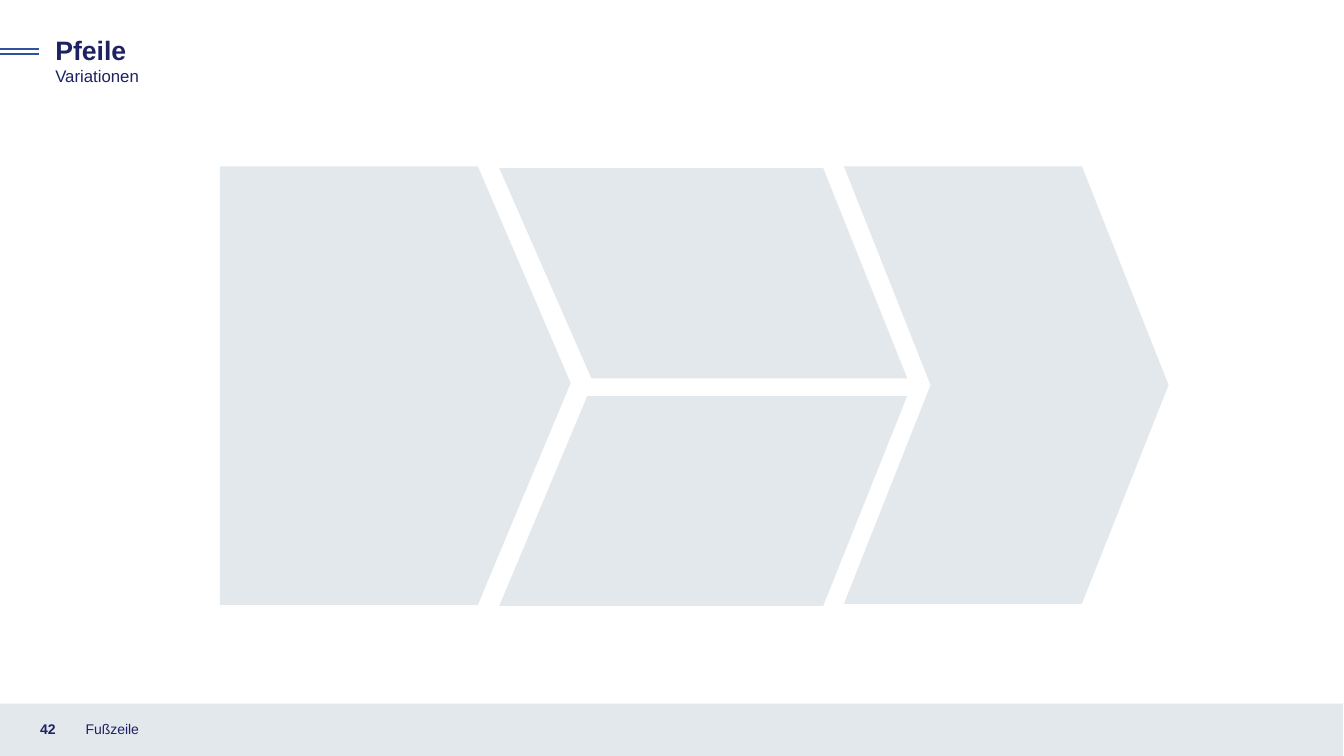
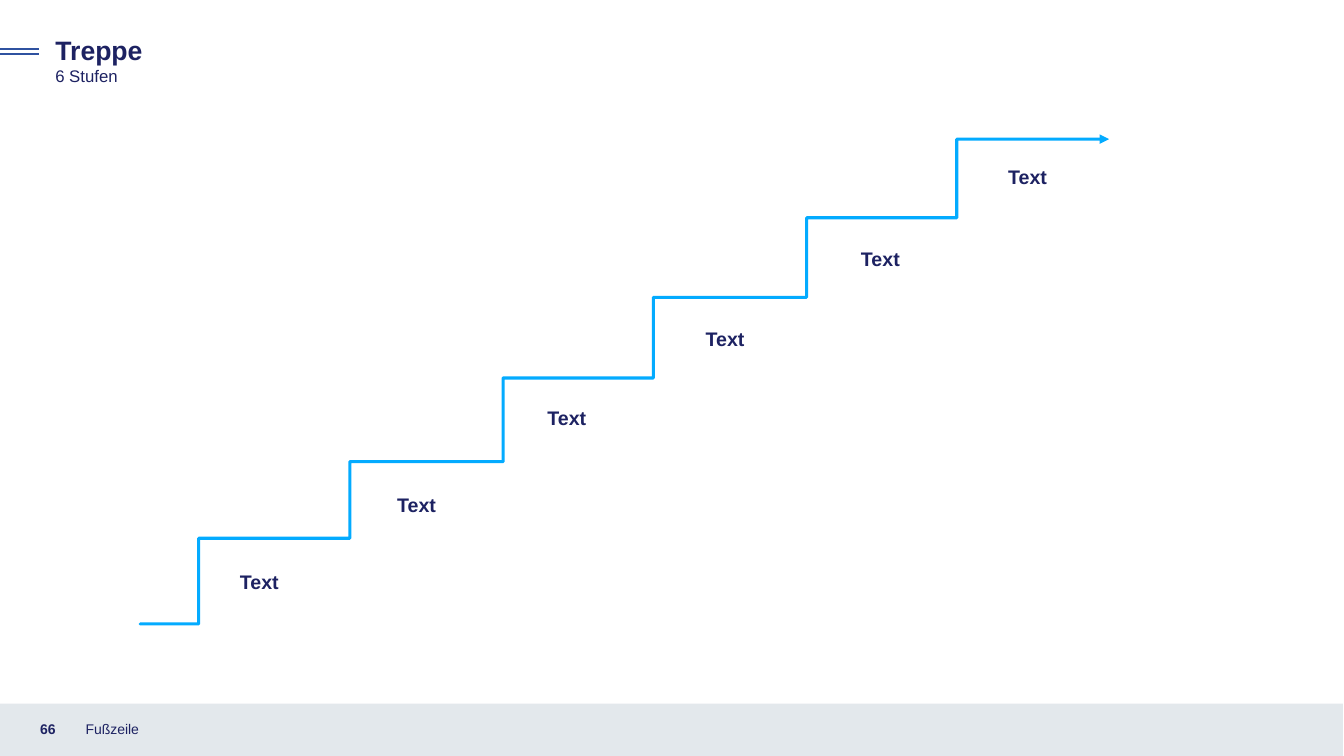
from dataclasses import dataclass

from lxml.etree import SubElement
from pptx import Presentation
from pptx.dml.color import RGBColor
from pptx.enum.shapes import MSO_CONNECTOR as Connector, MSO_SHAPE as Shape
from pptx.enum.text import MSO_ANCHOR as Anchor, MSO_AUTO_SIZE as AutoSize, PP_ALIGN as Align
from pptx.oxml.ns import qn
from pptx.util import Inches, Pt


@dataclass(frozen=True)
class Theme:
    font: str = "Arial"
    navy: str = "1D2262"
    blue: str = "2F52A0"
    sky: str = "00AAFF"
    pale: str = "E3E8EC"
    white: str = "FFFFFF"
    title_size: int = 19
    subtitle_size: int = 12
    label_size: int = 14
    footer_size: int = 10


class Deck:
    def __init__(self, theme):
        self.theme = theme
        self.presentation = Presentation()
        self.presentation.slide_width = Inches(13.33)
        self.presentation.slide_height = Inches(7.5)
        self.slide = None

    def add_slide(self, title, subtitle, number):
        theme = self.theme
        self.slide = self.presentation.slides.add_slide(self.presentation.slide_layouts[5])
        self.preset(Shape.RECTANGLE, -0.01, 6.98, 13.33, 0.55)
        self.text(number, 0.3, 7.03, 0.45, 0.4, theme.footer_size, bold=True, anchor=Anchor.MIDDLE)
        self.text("Fußzeile", 0.75, 7.03, 4.5, 0.4, theme.footer_size, anchor=Anchor.MIDDLE)
        heading = self.slide.shapes.title
        heading.left, heading.top = Inches(0.45), Inches(0.29)
        heading.width, heading.height = Inches(7.72), Inches(0.42)
        self.fill_text(heading.text_frame, title, theme.title_size, bold=True)
        self.text(subtitle, 0.45, 0.6, 3.46, 0.3, theme.subtitle_size)
        for y in (0.49, 0.54):
            self.rule(0, y, 0.39, y)

    def fill_text(self, frame, content, size, bold=False, anchor=Anchor.TOP, wrap=True):
        frame.word_wrap = wrap
        frame.auto_size = AutoSize.NONE
        frame.vertical_anchor = anchor
        paragraph = frame.paragraphs[0]
        paragraph.text = content
        paragraph.alignment = Align.LEFT
        paragraph.font.name = self.theme.font
        paragraph.font.size = Pt(size)
        paragraph.font.bold = bold
        paragraph.font.color.rgb = RGBColor.from_string(self.theme.navy)

    def text(self, content, left, top, width, height, size, **style):
        box = self.slide.shapes.add_textbox(*map(Inches, (left, top, width, height)))
        self.fill_text(box.text_frame, content, size, **style)

    def label(self, content, left, top):
        self.text(content, left, top, 0.59, 0.34, self.theme.label_size, bold=True, wrap=False)

    def rule(self, *ends):
        line = self.slide.shapes.add_connector(Connector.STRAIGHT, *map(Inches, ends))
        self.outline(line, self.theme.blue, 1.5)
        SubElement(line._element.spPr, qn("a:effectLst"))

    def outline(self, shape, color, width):
        shape.line.color.rgb = RGBColor.from_string(color)
        shape.line.width = Pt(width)

    def paint(self, shape):
        shape.shadow.inherit = False
        shape.fill.solid()
        shape.fill.fore_color.rgb = RGBColor.from_string(self.theme.pale)
        shape.line.fill.background()
        return shape

    def preset(self, kind, left, top, width, height):
        return self.paint(self.slide.shapes.add_shape(kind, *map(Inches, (left, top, width, height))))

    def freeform(self, points, close):
        start, *rest = [(Inches(x), Inches(y)) for x, y in points]
        builder = self.slide.shapes.build_freeform(*start)
        builder.add_line_segments(rest, close=close)
        return builder.convert_to_shape()

    def polygon(self, points):
        return self.paint(self.freeform(points, close=True))

    def step_arrow(self, points):
        arrow = self.freeform(points, close=False)
        arrow.shadow.inherit = False
        arrow.fill.background()
        self.outline(arrow, self.theme.sky, 2.25)
        line = arrow._element.spPr.find(qn("a:ln"))
        line.set("cap", "rnd")
        SubElement(line.find(".//" + qn("a:srgbClr")), qn("a:alpha"), val="98000")
        SubElement(line, qn("a:round"))
        SubElement(line, qn("a:tailEnd"), type="triangle")


def build_arrows(deck):
    deck.add_slide("Pfeile", "Variationen", "42")
    chevron = deck.preset(Shape.CHEVRON, 8.37, 1.65, 3.22, 4.34)
    chevron.adjustments[0] = 0.267
    for outer, inner, inner_left in ((1.66, 3.76, 5.86), (6.02, 3.92, 5.82)):
        middle = deck.polygon([(8.17, outer), (9.01, inner), (inner_left, inner), (4.94, outer)])
        deck.outline(middle, deck.theme.white, 1)
    deck.polygon([(5.66, 3.8), (4.74, 1.65), (2.18, 1.65), (2.18, 6), (4.74, 6)])


def build_stairs(deck):
    deck.add_slide("Treppe", "6 Stufen", "66")
    edges = [1.39, 1.97, 3.47, 4.99, 6.48, 8, 9.49, 11]
    levels = [6.19, 5.34, 4.58, 3.75, 2.95, 2.16, 1.38]
    deck.step_arrow([(x, level)
                     for left, right, level in zip(edges, edges[1:], levels)
                     for x in (left, right)])
    for left, top in ((2.28, 5.61), (3.84, 4.84), (5.33, 3.98), (6.9, 3.19), (8.44, 2.4), (9.9, 1.59)):
        deck.label("Text", left, top)


def main():
    deck = Deck(Theme())
    build_arrows(deck)
    build_stairs(deck)
    deck.presentation.save("out.pptx")


if __name__ == "__main__":
    main()
